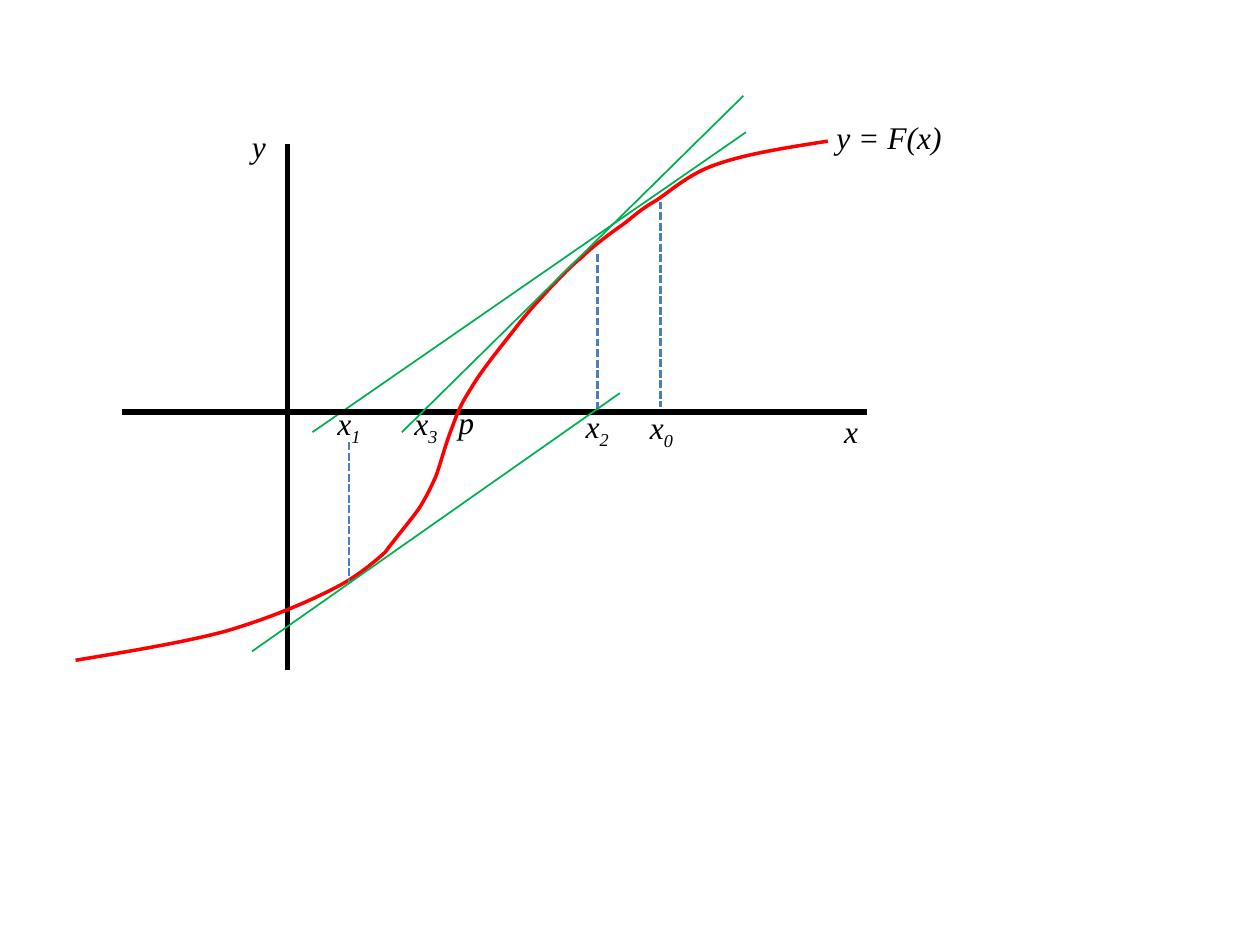
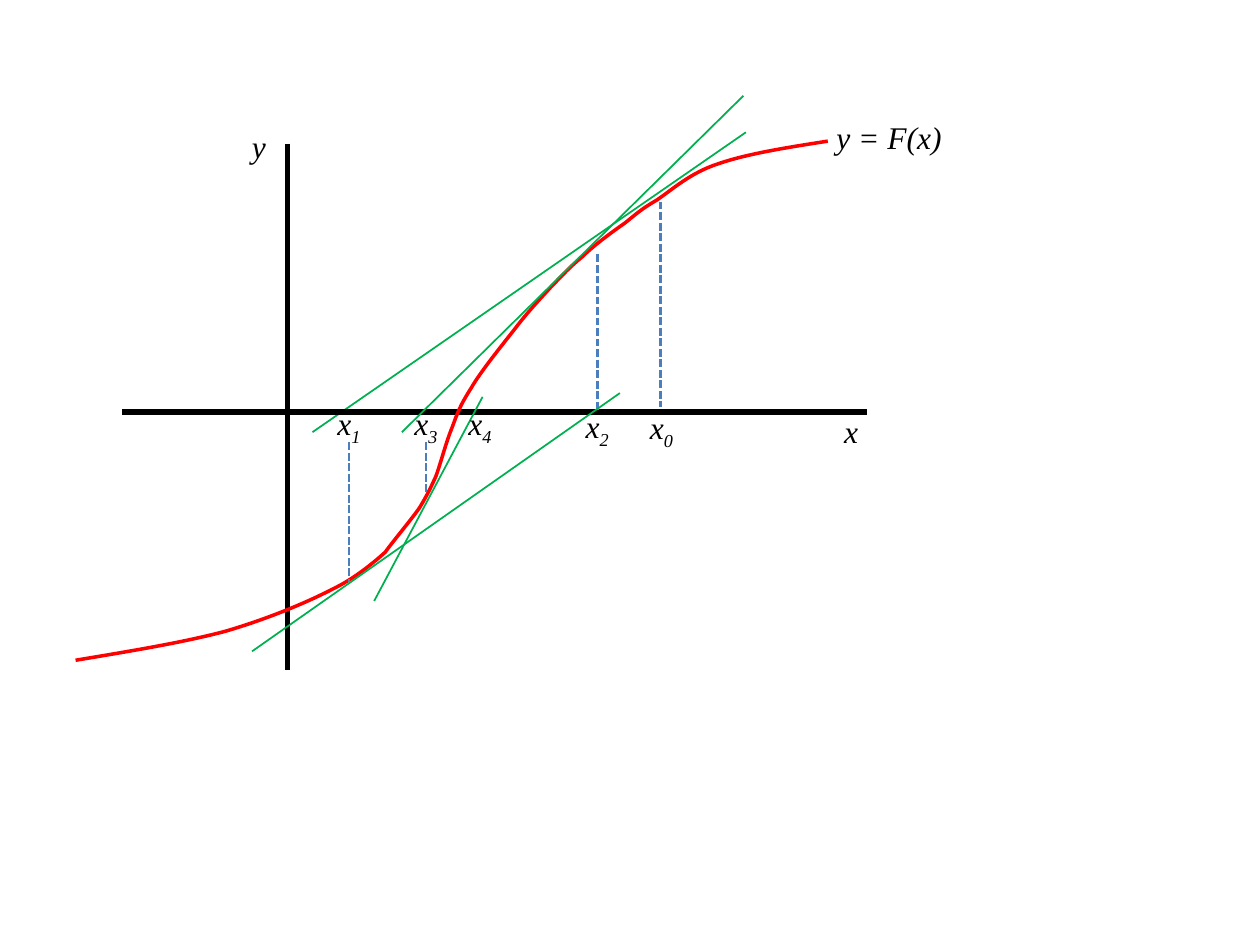
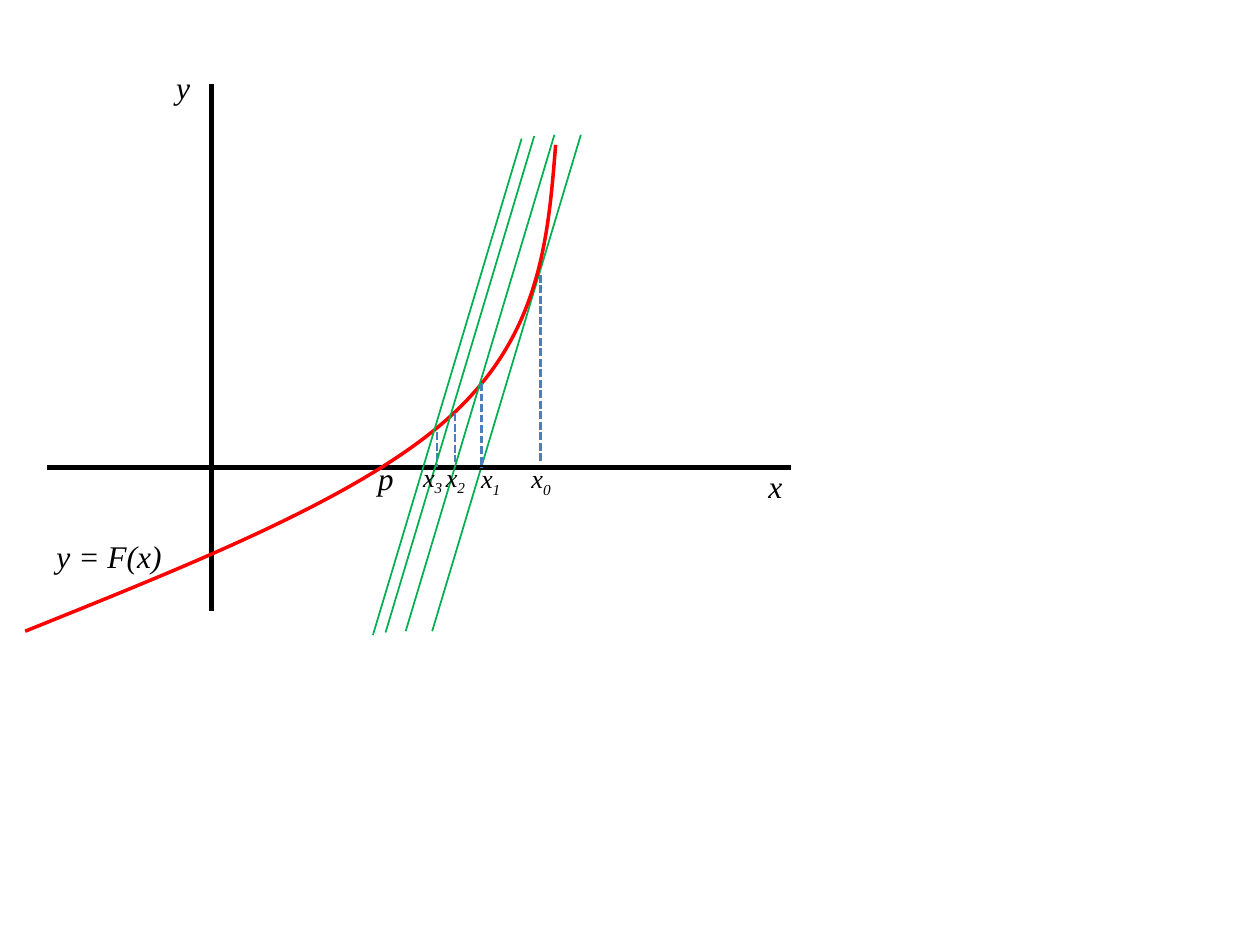
from lxml import etree
from pptx import Presentation
from pptx.dml.color import RGBColor
from pptx.enum.dml import MSO_LINE
from pptx.enum.shapes import MSO_CONNECTOR
from pptx.enum.text import MSO_AUTO_SIZE
from pptx.oxml.ns import qn
from pptx.util import Inches, Pt

STRAIGHT = MSO_CONNECTOR.STRAIGHT
DASHED = MSO_LINE.SQUARE_DOT
GROW = MSO_AUTO_SIZE.SHAPE_TO_FIT_TEXT

# Shared style: colour, width in points, dash
FONT = "Times New Roman"
INK = "000000"
STYLES = {
    "axis": (INK, 3, None),
    "tangent": ("00B050", 1, None),
    "curve": ("FF0000", 2, None),
    "drop": ("4B7EBC", 1.5, DASHED),
}
AXIS_LEFT, AXIS_WIDTH, AXIS_HEIGHT = 1.31, 5.91, 4.18
LABEL_WIDTH, LETTER_WIDTH, FORMULA_WIDTH = 0.57, 0.38, 1.66

# Curves: a start point, then two handles and an end point per segment
S_CURVE = [
    (0.6, 5.24),
    (1.02, 5.17), (1.45, 5.1), (1.79, 5.01),
    (2.13, 4.91), (2.44, 4.78), (2.65, 4.67),
    (2.86, 4.57), (3.06, 4.38), (3.06, 4.38),
    (3.1, 4.32), (3.26, 4.13), (3.33, 4.03),
    (3.39, 3.93), (3.41, 3.89), (3.46, 3.78),
    (3.5, 3.67), (3.54, 3.51), (3.59, 3.39),
    (3.63, 3.28), (3.65, 3.22), (3.74, 3.08),
    (3.82, 2.94), (4.01, 2.71), (4.11, 2.58),
    (4.22, 2.44), (4.3, 2.36), (4.38, 2.27),
    (4.47, 2.18), (4.52, 2.12), (4.62, 2.04),
    (4.71, 1.95), (4.86, 1.84), (4.96, 1.77),
    (5.06, 1.69), (5.09, 1.66), (5.21, 1.59),
    (5.33, 1.51), (5.48, 1.37), (5.7, 1.3),
    (5.93, 1.22), (6.25, 1.17), (6.57, 1.12),
]
STEEP_CURVE = [
    (4.41, 1.15),
    (4.35, 1.9), (4.29, 2.65), (3.58, 3.3),
    (2.88, 3.94), (1.54, 4.47), (0.2, 5.01),
]

# Newton iteration; tangents are (x1, y1, x2, y2), drops (x, top, bottom),
# labels (letter, subscript, left, top)
NEWTON = {
    "origin": (2.28, 3.27), "top": 1.14, "curve": S_CURVE, "size": 18,
    "formula": (6.54, 0.89),
    "back": [(5.92, 1.05, 2.48, 3.43)],
    "front": [(4.92, 3.12, 2, 5.17), (5.9, 0.76, 3.19, 3.43)],
    "drops": [(2.77, 3.51, 4.62), (5.24, 1.6, 3.23), (4.74, 2.02, 3.26)],
    "labels": [("x", "0", 5.06, 3.19), ("x", "2", 4.55, 3.18),
               ("x", "1", 2.58, 3.16), ("x", "3", 3.19, 3.16)],
}
NEWTON_ROOT = NEWTON | {"labels": NEWTON["labels"] + [("p", "", 3.54, 3.15)]}
NEWTON_NEXT = NEWTON | {
    "front": NEWTON["front"] + [(3.83, 3.15, 2.97, 4.77)],
    "drops": NEWTON["drops"] + [(3.38, 3.51, 3.91)],
    "labels": NEWTON["labels"] + [("x", "4", 3.62, 3.16)],
}

# Fixed-slope iteration: every tangent has the same run and rise
RUN, RISE = -1.18, 3.94
PARALLELS = [(x, y, x + RUN, y + RISE)
             for x, y in [(4.61, 1.07), (4.4, 1.07), (4.24, 1.08), (4.14, 1.1)]]
FIXED_SLOPE = {
    "origin": (1.68, 3.71), "top": 0.67, "curve": STEEP_CURVE, "size": 15,
    "formula": (0.35, 4.21),
    "back": PARALLELS[:1],
    "front": PARALLELS[1:],
    "drops": [(3.61, 3.28, 3.67), (3.47, 3.43, 3.71),
              (4.29, 2.18, 3.67), (3.82, 3.04, 3.71)],
    "labels": [("x", "0", 4.12, 3.62), ("x", "1", 3.72, 3.62),
               ("x", "2", 3.44, 3.61), ("p", "", 2.9, 3.59),
               ("x", "3", 3.26, 3.61)],
}


def rgb(hex_colour):
    return RGBColor.from_string(hex_colour)


def style_line(line, kind):
    colour, width, dash = STYLES[kind]
    line.color.rgb = rgb(colour)
    line.width = Pt(width)
    if dash:
        line.dash_style = dash


def add_line(slide, kind, *ends):
    connector = slide.shapes.add_connector(STRAIGHT, *map(Inches, ends))
    style_line(connector.line, kind)
    etree.SubElement(connector._element.spPr, qn("a:effectLst"))


def add_curve(slide, points):
    start, *rest = [(Inches(x), Inches(y)) for x, y in points]
    builder = slide.shapes.build_freeform(*start)
    builder.add_line_segments(rest, close=False)
    curve = builder.convert_to_shape()
    curve.shadow.inherit = False
    curve.fill.background()
    style_line(curve.line, "curve")
    # Gather each three straight steps into one Bezier segment
    steps = list(curve._element.iter(qn("a:lnTo")))
    outline = steps[0].getparent()
    for first in range(0, len(steps), 3):
        bezier = etree.SubElement(outline, qn("a:cubicBezTo"))
        for step in steps[first:first + 3]:
            bezier.append(step[0])
            outline.remove(step)


def add_label(slide, left, top, width, text, subscript="", size=18):
    height = 0.1 + size / 60
    box = slide.shapes.add_textbox(*map(Inches, (left, top, width, height)))
    frame = box.text_frame
    frame.word_wrap = True
    frame.auto_size = GROW
    paragraph = frame.paragraphs[0]
    paragraph.text = text
    if subscript:
        lowered = paragraph.add_run()
        lowered.text = subscript
        lowered._r.get_or_add_rPr().set("baseline", "-25000")
    for run in paragraph.runs:
        run.font.name = FONT
        run.font.size = Pt(size)
        run.font.italic = True
        run.font.color.rgb = rgb(INK)


def draw_graph(slide, graph):
    origin_x, origin_y = graph["origin"]
    top = graph["top"]
    left = origin_x - AXIS_LEFT
    right = left + AXIS_WIDTH

    # Lines, from back to front
    for tangent in graph["back"]:
        add_line(slide, "tangent", *tangent)
    add_line(slide, "axis", origin_x, top, origin_x, top + AXIS_HEIGHT)
    add_line(slide, "axis", left, origin_y, right, origin_y)
    add_curve(slide, graph["curve"])
    for x, drop_top, drop_bottom in graph["drops"]:
        add_line(slide, "drop", x, drop_top, x, drop_bottom)
    for tangent in graph["front"]:
        add_line(slide, "tangent", *tangent)

    # Labels
    add_label(slide, right - 0.28, origin_y - 0.05, LETTER_WIDTH, "x")
    add_label(slide, origin_x - 0.38, top - 0.18, LETTER_WIDTH, "y")
    add_label(slide, *graph["formula"], FORMULA_WIDTH, "y = F(x)")
    for letter, subscript, x, y in graph["labels"]:
        size = graph["size"] if subscript else 18
        add_label(slide, x, y, LABEL_WIDTH, letter, subscript, size)


def main():
    deck = Presentation()
    deck.slide_width, deck.slide_height = Inches(10), Inches(7.5)
    blank = deck.slide_layouts[6]
    for graph in (NEWTON_ROOT, NEWTON_NEXT, FIXED_SLOPE):
        draw_graph(deck.slides.add_slide(blank), graph)
    deck.save("out.pptx")


if __name__ == "__main__":
    main()
